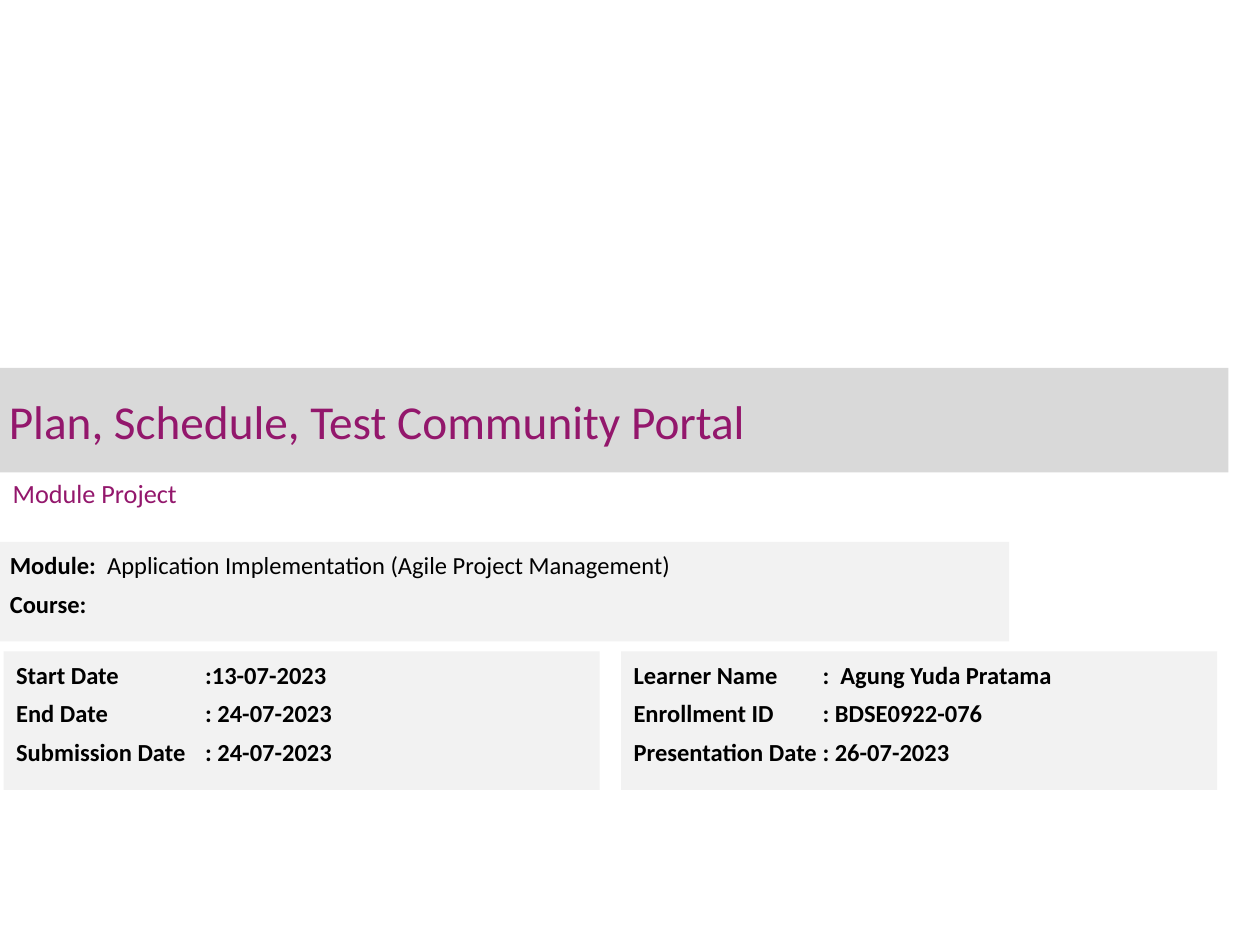
from dataclasses import dataclass

from lxml import etree
from pptx import Presentation
from pptx import util as u
from pptx.dml.color import RGBColor
from pptx.enum import shapes, text
from pptx.oxml import ns


@dataclass(frozen=True)
class Theme:
    font: str = "Calibri"
    accent: str = "93176C"
    ink: str = "000000"
    band: str = "D9D9D9"
    panel: str = "F2F2F2"
    title_size: int = 27
    subtitle_size: int = 15
    detail_size: int = 14


@dataclass(frozen=True)
class Area:
    left: float
    top: float
    width: float
    height: float


@dataclass(frozen=True)
class Span:
    words: str
    bold: bool = True


@dataclass(frozen=True)
class Panel:
    area: Area
    lines: list[list[Span]]


THEME = Theme()
TAB_STOP = u.Inches(1.5)
DETAIL_TOP, DETAIL_WIDTH, DETAIL_HEIGHT = 5.17, 4.73, 1.1
DETAIL_LEFT, DETAIL_STEP = 0.03, 4.9


def detail_panel(column: int, entries: dict[str, str]) -> Panel:
    area = Area(DETAIL_LEFT + column * DETAIL_STEP, DETAIL_TOP, DETAIL_WIDTH, DETAIL_HEIGHT)
    return Panel(area, [[Span(f"{label}\t{value}")] for label, value in entries.items()])


PANELS = [
    detail_panel(0, {
        "Start Date": ":13-07-2023",
        "End Date": ": 24-07-2023",
        "Submission Date": ": 24-07-2023",
    }),
    Panel(Area(-0.02, 4.3, 8.03, 0.79), [
        [Span("Module:  "), Span("Application Implementation (Agile Project Management)", False)],
        [Span("Course:")],
    ]),
    detail_panel(1, {
        "Learner Name": ":  Agung Yuda Pratama",
        "Enrollment ID": ": BDSE0922-076",
        "Presentation Date": ": 26-07-2023",
    }),
]


def place(box, area: Area) -> None:
    box.left, box.top = u.Inches(area.left), u.Inches(area.top)
    box.width, box.height = u.Inches(area.width), u.Inches(area.height)


def paint(box, color: str) -> None:
    box.fill.solid()
    box.fill.fore_color.rgb = RGBColor.from_string(color)
    box.line.fill.background()


def add_span(para, words: str, size: int, color: str, bold: bool = False) -> None:
    span = para.add_run()
    span.text = words
    span.font.name = THEME.font
    span.font.size = u.Pt(size)
    span.font.bold = bold
    span.font.color.rgb = RGBColor.from_string(color)


def fill_heading(box, area: Area, words: str, size: int) -> None:
    place(box, area)
    frame = box.text_frame
    frame.auto_size = text.MSO_AUTO_SIZE.NONE
    frame.word_wrap = True
    frame.vertical_anchor = text.MSO_ANCHOR.MIDDLE
    para = frame.paragraphs[0]
    para.alignment = text.PP_ALIGN.LEFT
    para.space_before = u.Pt(0)
    add_span(para, words, size, THEME.accent)


def add_tab_stop(para) -> None:
    properties = para._p.get_or_add_pPr()
    tabs = etree.SubElement(properties, ns.qn("a:tabLst"))
    etree.SubElement(tabs, ns.qn("a:tab"), pos=str(TAB_STOP), algn="l")


def add_panel(page, panel: Panel) -> None:
    box = page.shapes.add_shape(shapes.MSO_SHAPE.RECTANGLE, 0, 0, 0, 0)
    place(box, panel.area)
    box.shadow.inherit = False
    paint(box, THEME.panel)
    frame = box.text_frame
    frame.word_wrap = True
    frame.vertical_anchor = text.MSO_ANCHOR.TOP
    for index, line in enumerate(panel.lines):
        para = frame.add_paragraph() if index else frame.paragraphs[0]
        para.alignment = text.PP_ALIGN.LEFT
        para.line_spacing = u.Pt(18)
        para.space_before = para.space_after = u.Pt(2)
        add_tab_stop(para)
        for span in line:
            add_span(para, span.words, THEME.detail_size, THEME.ink, span.bold)


def main() -> None:
    deck = Presentation()
    deck.slide_width, deck.slide_height = u.Inches(10), u.Inches(7.5)
    page = deck.slides.add_slide(deck.slide_layouts[0])

    title = page.shapes.title
    fill_heading(title, Area(0, 2.92, 9.75, 0.83),
                 "Plan, Schedule, Test Community Portal", THEME.title_size)
    paint(title, THEME.band)
    frame = title.text_frame
    frame.margin_left = frame.margin_right = u.Inches(0.07)
    frame.margin_top = frame.margin_bottom = u.Inches(0.04)

    fill_heading(page.placeholders[1], Area(0, 3.6, 6.42, 0.62),
                 "Module Project", THEME.subtitle_size)

    for panel in PANELS:
        add_panel(page, panel)
    deck.save("out.pptx")


if __name__ == "__main__":
    main()
